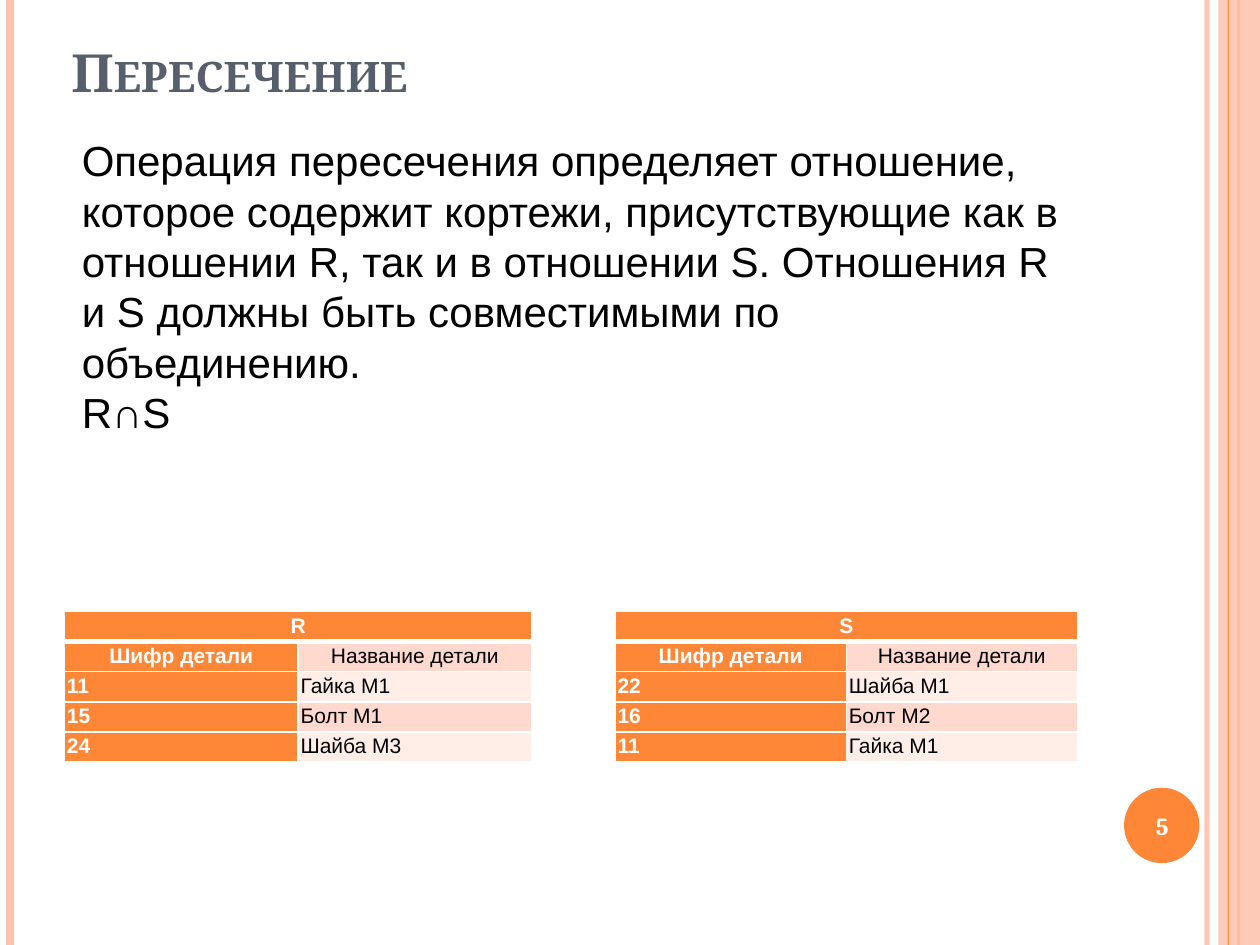
from lxml.etree import SubElement
from pptx import Presentation
from pptx.dml.color import RGBColor
from pptx.enum.shapes import MSO_CONNECTOR, MSO_SHAPE
from pptx.enum.text import MSO_ANCHOR as Anchor, PP_ALIGN as Align
from pptx.oxml.ns import qn
from pptx.util import Cm, Pt

COLORS = {
    "orange": "FE8637",
    "peach": "FEC3AE",
    "band_dark": "FFD9CE",
    "band_light": "FFEDE8",
    "slate": "575F6D",
    "white": "FFFFFF",
    "black": "000000",
}


def paint(fill, color, opacity=100):
    fill.solid()
    fill.fore_color.rgb = RGBColor.from_string(COLORS[color])
    if opacity < 100:
        srgb = fill._xPr.find(".//" + qn("a:srgbClr"))
        SubElement(srgb, qn("a:alpha")).set("val", str(opacity * 1000))


def write(frame, lines, face, size, color, bold=False, align=Align.LEFT):
    frame.word_wrap = True
    for index, line in enumerate(lines):
        paragraph = frame.paragraphs[0] if index == 0 else frame.add_paragraph()
        paragraph.text = line
        paragraph.alignment = align
        font = paragraph.font
        font.name, font.size, font.bold = face, Pt(size), bold
        font.color.rgb = RGBColor.from_string(COLORS[color])


prs = Presentation()
prs.slide_width, prs.slide_height = Cm(25.4), Cm(19.05)
slide = prs.slides.add_slide(prs.slide_layouts[6])
shapes = slide.shapes

STRIPES = [
    (24.33, "peach", 3, 93),
    (0.2, "peach", 4.5, 100),
    (24.97, "orange", 1.5, 100),
    (24.77, "orange", 0.75, 100),
]
for x, color, weight, opacity in STRIPES:
    if x == 24.77:
        side_band = shapes.add_shape(MSO_SHAPE.RECTANGLE, Cm(24.56), 0, Cm(0.84), prs.slide_height)
        side_band.shadow.inherit = False
        side_band.line.fill.background()
        paint(side_band.fill, "peach", 87)
    stripe = shapes.add_connector(MSO_CONNECTOR.STRAIGHT, Cm(x), 0, Cm(x), prs.slide_height)
    stripe.line.width = Pt(weight)
    paint(stripe.line.fill, color, opacity)
    SubElement(stripe._element.spPr, qn("a:effectLst"))

badge = shapes.add_shape(MSO_SHAPE.OVAL, Cm(22.66), Cm(15.88), Cm(1.52), Cm(1.52))
badge.shadow.inherit = False
badge.line.fill.background()
paint(badge.fill, "orange")

title = shapes.add_textbox(Cm(1.19), 0, Cm(20.75), Cm(2.21)).text_frame
title.vertical_anchor = Anchor.BOTTOM
write(title, ["Пересечение"], "Cambria", 30, "slate", True)
title.paragraphs[0].runs[0]._r.get_or_add_rPr().set("cap", "small")

page_number = shapes.add_textbox(Cm(22.58), Cm(15.93), Cm(1.7), Cm(1.45)).text_frame
page_number.vertical_anchor = Anchor.MIDDLE
write(page_number, ["5"], "Cambria", 14, "white", True, Align.CENTER)

definition = shapes.add_textbox(Cm(1.4), Cm(2.59), Cm(20.32), Cm(8.74)).text_frame
write(definition, [
    "Операция пересечения определяет отношение, которое содержит кортежи, "
    "присутствующие как в отношении R, так и в отношении S. "
    "Отношения R и S должны быть совместимыми по объединению.",
    "R∩S",
], "Arial", 24, "black")

HEADINGS = ("Шифр детали", "Название детали")
RELATIONS = [
    ("R", 1.3, 9.42, 0.6, [("11", "Гайка M1"), ("15", "Болт М1"), ("24", "Шайба М3")]),
    ("S", 12.4, 9.32, 0.57, [("22", "Шайба М1"), ("16", "Болт М2"), ("11", "Гайка M1")]),
]
for relation, left, width, row_height, parts in RELATIONS:
    rows = [(relation, ""), HEADINGS, *parts]
    table = shapes.add_table(len(rows), 2, Cm(left), Cm(12.32), Cm(width), Cm(row_height * len(rows))).table
    table.cell(0, 0).merge(table.cell(0, 1))
    for r, row in enumerate(rows):
        table.rows[r].height = Cm(row_height)
        for c, text in enumerate(row):
            cell = table.cell(r, c)
            cell.margin_left = cell.margin_right = cell.margin_top = cell.margin_bottom = Cm(0.05)
            cell.vertical_anchor = Anchor.MIDDLE if r < 2 else Anchor.TOP
            key = r == 0 or c == 0
            write(cell.text_frame, [text], "Arial", 12, "white" if key else "black", key,
                  Align.CENTER if r < 2 else Align.LEFT)
            properties = cell._tc.get_or_add_tcPr()
            for side in ("lnL", "lnR", "lnT", "lnB"):
                thick = (r, side) in ((0, "lnB"), (1, "lnT"))
                border = SubElement(properties, qn("a:" + side), w=str(Pt(3 if thick else 1)))
                edge = SubElement(border, qn("a:solidFill"))
                SubElement(edge, qn("a:srgbClr"), val=COLORS["white"])
            paint(cell.fill, "orange" if key else "band_dark" if r % 2 else "band_light")

prs.save("out.pptx")
